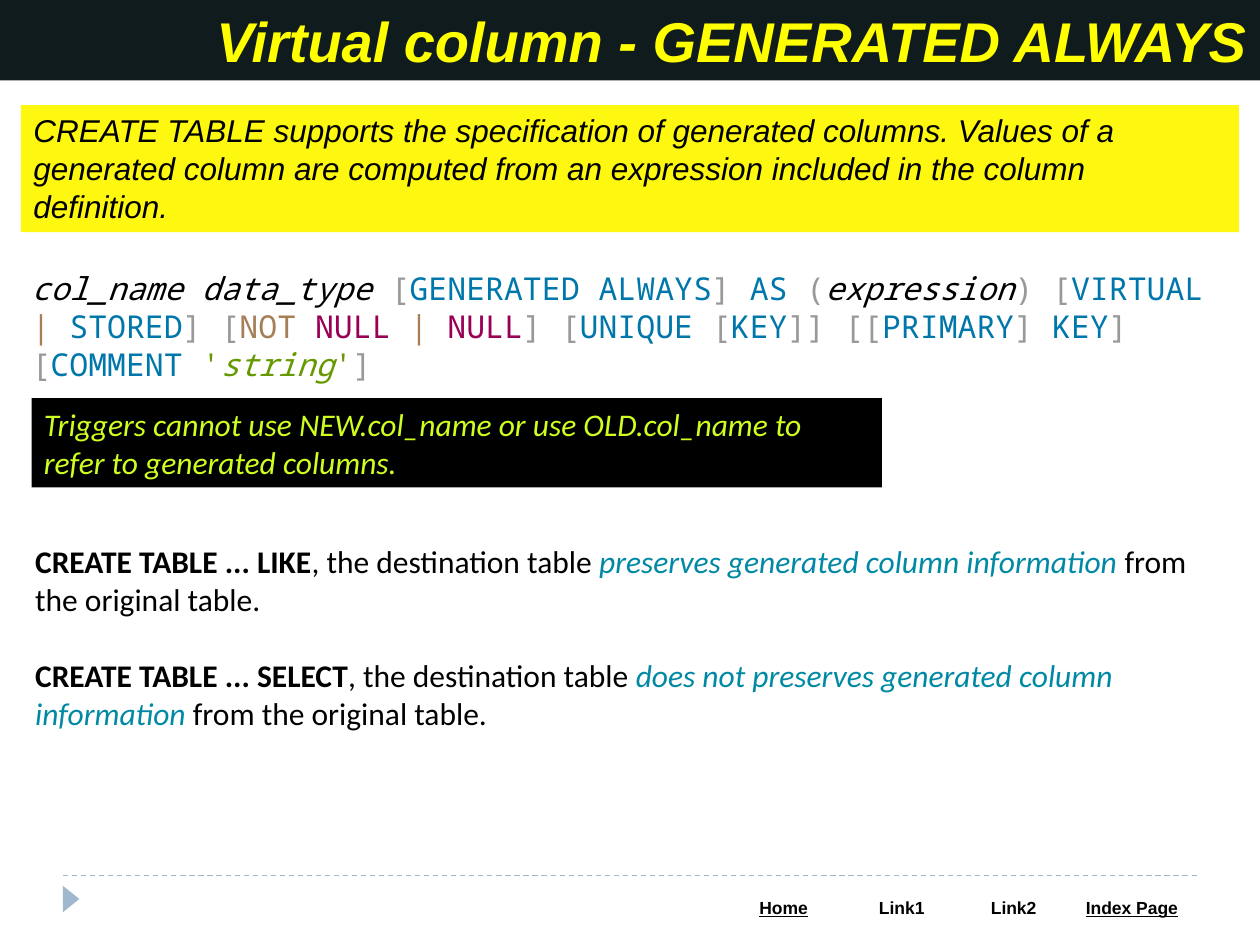
"""Build the slide on generated (virtual) columns."""
from lxml import etree
from pptx import Presentation
from pptx.dml.color import RGBColor
from pptx.enum.dml import MSO_LINE
from pptx.enum.shapes import MSO_CONNECTOR, MSO_SHAPE
from pptx.enum.text import MSO_ANCHOR, MSO_AUTO_SIZE, PP_ALIGN
from pptx.oxml.ns import qn
from pptx.util import Pt

RECT, TRIANGLE = MSO_SHAPE.RECTANGLE, MSO_SHAPE.ISOSCELES_TRIANGLE
STRAIGHT, DASH = MSO_CONNECTOR.STRAIGHT, MSO_LINE.DASH
TOP, MIDDLE = MSO_ANCHOR.TOP, MSO_ANCHOR.MIDDLE
LEFT, CENTER, RIGHT = PP_ALIGN.LEFT, PP_ALIGN.CENTER, PP_ALIGN.RIGHT
NO_FIT = MSO_AUTO_SIZE.NONE
BLACK, WHITE, TEAL, STEEL = "000000", "FFFFFF", "0089A4", "9FB8CD"
GREY, BLUE, BROWN, PLUM, GREEN = "999999", "0077AA", "A67F59", "990055", "669900"


def rgb(value):
    return RGBColor.from_string(value)


def write(p, runs, align=LEFT, **base):
    p.alignment = align
    for text, color, extra in runs:
        r = p.add_run()
        r.text = text
        r.font.color.rgb = rgb(color)
        for name, value in {"bold": False, "italic": False, **base, **extra}.items():
            setattr(r.font, name, value)


BOLD, ITALIC = {"bold": True}, {"italic": True}
syntax = [
    ("col_name data_type ", BLACK, ITALIC), ("[", GREY, {}),
    ("GENERATED ALWAYS", BLUE, {}), ("] ", GREY, {}), ("AS ", BLUE, {}),
    ("(", GREY, {}), ("expression", BLACK, ITALIC), (") [", GREY, {}),
    ("VIRTUAL ", BLUE, {}), ("| ", BROWN, {}), ("STORED", BLUE, {}),
    ("] [", GREY, {}), ("NOT ", BROWN, {}), ("NULL ", PLUM, {}),
    ("| ", BROWN, {}), ("NULL", PLUM, {}), ("] [", GREY, {}),
    ("UNIQUE ", BLUE, {}), ("[", GREY, {}), ("KEY", BLUE, {}),
    ("]] [[", GREY, {}), ("PRIMARY", BLUE, {}), ("] ", GREY, {}),
    ("KEY", BLUE, {}), ("] [", GREY, {}), ("COMMENT ", BLUE, {}),
    ("'", GREEN, {}), ("string", GREEN, ITALIC), ("'", GREEN, {}), ("]", GREY, {}),
]
definition = [("CREATE TABLE supports the specification of generated columns. "
               "Values of a generated column are computed from an expression "
               "included in the column definition.", BLACK, ITALIC)]
triggers = [("Triggers cannot use NEW.col_name or use OLD.col_name to refer to "
             "generated columns.", "CFFF21", ITALIC)]
copies = [
    [(f"CREATE TABLE ... {clause}", BLACK, BOLD),
     (", the destination table ", BLACK, {}),
     (f"{effect} generated column information", TEAL, ITALIC),
     (" from the original table.", BLACK, {})]
    for clause, effect in (("LIKE", "preserves"), ("SELECT", "does not preserves"))
]

prs = Presentation()
prs.slide_width, prs.slide_height = Pt(720), Pt(540)
s = prs.slides.add_slide(prs.slide_layouts[5])

title = s.shapes.title
title.left, title.top, title.width, title.height = Pt(0), Pt(0), Pt(720), Pt(46)
title.fill.solid()
title.fill.fore_color.rgb = rgb("101B1D")
tf = title.text_frame
tf.auto_size, tf.vertical_anchor = NO_FIT, MIDDLE
write(tf.paragraphs[0], [("Virtual column - GENERATED ALWAYS", "FFFF00", {})], RIGHT,
      name="Arial", size=Pt(32), bold=True, italic=True)

marker = s.shapes.add_shape(TRIANGLE, Pt(33.1), Pt(509), Pt(15.1), Pt(9.4))
marker.rotation = 90
marker.shadow.inherit = False
marker.fill.solid()
marker.fill.fore_color.rgb = rgb(STEEL)
marker.line.fill.background()

rule = s.shapes.add_connector(STRAIGHT, Pt(36), Pt(500.4), Pt(684), Pt(500.4))
rule.line.color.rgb = rgb(STEEL)
rule.line.width = Pt(0.75)
rule.line.dash_style = DASH
etree.SubElement(rule.line._get_or_add_ln().getparent(), qn("a:effectLst"))

links = [("Home", 67.5, True), ("Link1", 67.5, False),
         ("Link2", 60.5, False), ("Index Page", 74.5, True)]
table = s.shapes.add_table(1, len(links), Pt(414), Pt(509.8), Pt(270), Pt(19.4)).table
for i, (label, width, underline) in enumerate(links):
    table.columns[i].width = Pt(width)
    cell = table.cell(0, i)
    cell.fill.solid()
    cell.fill.fore_color.rgb = rgb(WHITE)
    write(cell.text_frame.paragraphs[0], [(label, BLACK, {})], CENTER,
          name="Arial", size=Pt(10), bold=True, underline=underline)

boxes = [
    (12, 60, 696, 72.7, "FEF810", "Arial", [definition]),
    (11, 149.8, 698, 51, None, "Noto Sans Mono", [syntax]),
    (18, 227.5, 486, 51, BLACK, "Calibri", [triggers]),
    (13, 306, 695, 116.6, None, "Calibri", copies),
]
for x, y, w, h, fill, font, paragraphs in boxes:
    area = Pt(x), Pt(y), Pt(w), Pt(h)
    if fill:
        sp = s.shapes.add_shape(RECT, *area)
        sp.shadow.inherit = False
        sp.fill.solid()
        sp.fill.fore_color.rgb = rgb(fill)
        sp.line.fill.background()
    else:
        sp = s.shapes.add_textbox(*area)
    tf = sp.text_frame
    tf.word_wrap, tf.vertical_anchor = True, TOP
    for i, runs in enumerate(paragraphs):
        p = tf.add_paragraph() if i else tf.paragraphs[0]
        p.space_before = Pt(22 if i else 0)
        p.line_spacing = Pt(21.7)
        write(p, runs, name=font, size=Pt(18))

prs.save("out.pptx")
